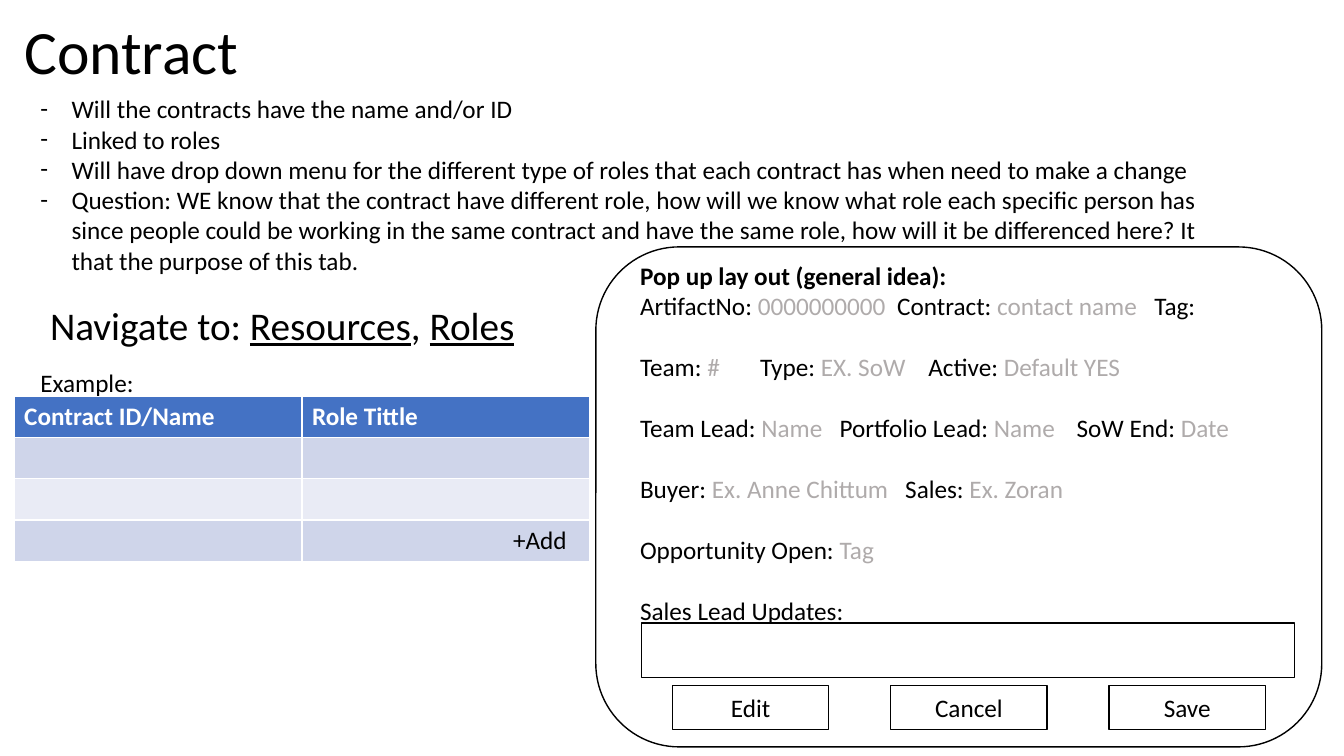
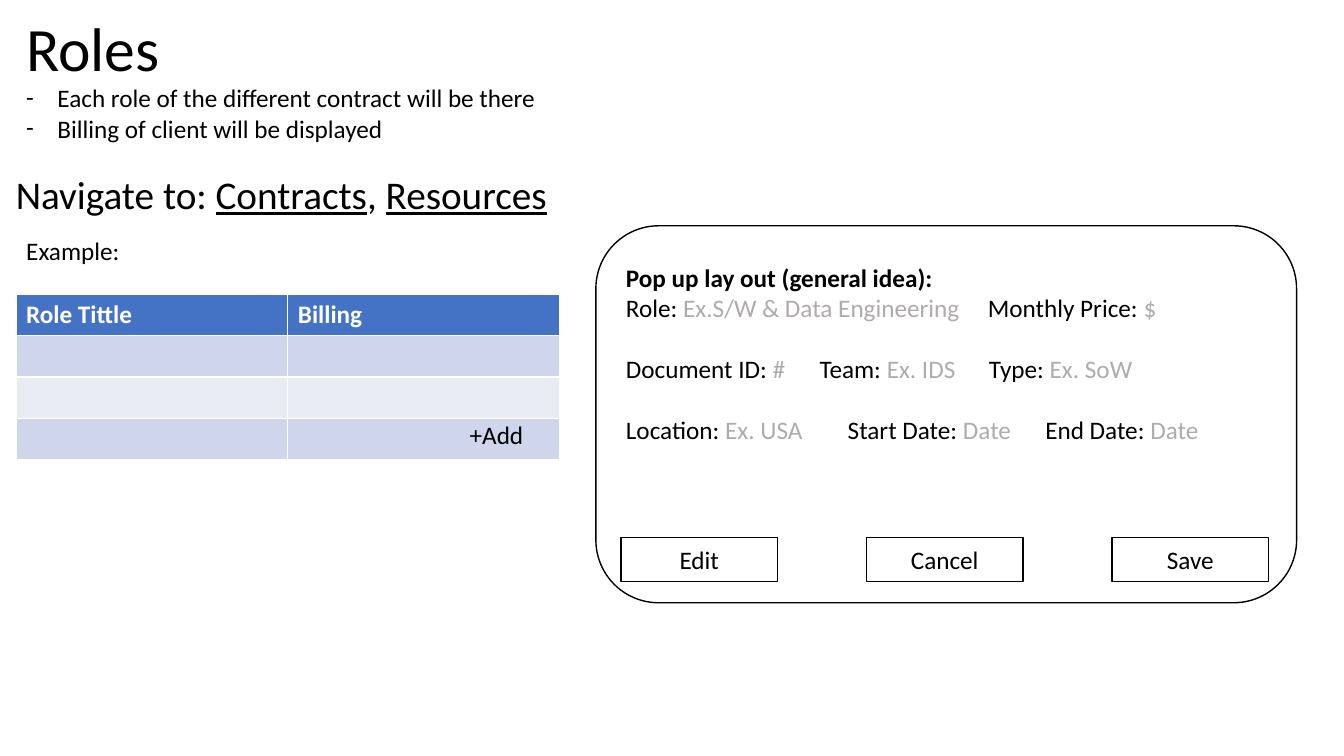
"""Build two wireframe slides, each with notes, an example table and a pop-up form."""
from lxml import etree
from pptx import Presentation
from pptx import util as u
from pptx.dml.color import RGBColor
from pptx.enum import shapes, text
from pptx.oxml.ns import qn

FONT, BLACK, WHITE, GREY = "Calibri", "000000", "FFFFFF", "AFABAB"
HEADER, BANDS = "4472C4", ("CFD5EA", "E9EBF5")
BODY_SIZE, LINE = 18, 22
ROW_HEIGHT, BUTTON_SIZE = 0.41, (1.55, 0.44)
BUTTONS = ("Edit", "Cancel", "Save")
POPUP_HEADING = "Pop up lay out (general idea):"

PAGES = [
    {
        "title": ("Contract", (0.14, -0.18, 11.5, 1.45)),
        "notes": ([
            "Will the contracts have the name and/or ID",
            "Linked to roles",
            "Will have drop down menu for the different type of roles that each contract has when need to make a change",
            "Question: WE know that the contract have different role, how will we know what role each specific person has "
            "since people could be working in the same contract and have the same role, how will it be differenced here? It "
            "that the purpose of this tab.",
        ], (0.3, 0.88, 11.89, 3.43)),
        "links": (("Resources", "Roles"), (-0.33, 2.94, 6.26, 0.57)),
        "table": (("Contract ID/Name", "Role Tittle"), (0.14, 3.93, 5.71)),
        "add": (4.99, 5.15, 1, 0.4),
        "popup": (5.91, 2.45, 7.2, 4.96),
        "form": ([
            [(0, "ArtifactNo: ", "0000000000"), (2.55, "Contract: ", "contact name"), (5.1, "Tag:", "")],
            [(0, "Team: ", "#"), (1.19, "Type: ", "EX. SoW"), (2.86, "Active: ", "Default YES")],
            [(0, "Team Lead: ", "Name"), (1.98, "Portfolio Lead: ", "Name"), (4.33, "SoW End: ", "Date")],
            [(0, "Buyer: ", "Ex. Anne Chittum"), (2.63, "Sales: ", "Ex. Zoran")],
            [(0, "Opportunity Open: ", "Tag")],
            [(0, "Sales Lead Updates:", "")],
        ], (6.25, 2.53, 7.43, 3.74)),
        "entry": (6.36, 6.18, 6.48, 0.54),
        "buttons": (6.67, 11, 6.8),
    },
    {
        "title": ("Roles", (0.16, -0.21, 11.5, 1.45)),
        "notes": ([
            "Each role of the different contract will be there",
            "Billing of client will be displayed",
        ], (0.16, 0.77, 11.89, 2.22)),
        "links": (("Contracts", "Resources"), (-0.34, 1.64, 6.26, 0.57)),
        "table": (("Role Tittle", "Billing"), (0.16, 2.92, 5.39)),
        "add": (4.56, 4.11, 1, 0.4),
        "popup": (5.91, 2.24, 6.95, 3.74),
        "form": ([
            [(0, "Role: ", "Ex.S/W & Data Engineering"), (3.59, "Monthly Price: ", "$")],
            [(0, "Document ID: ", "#"), (1.92, "Team: ", "Ex. IDS"), (3.6, "Type: ", "Ex. SoW")],
            [(0, "Location: ", "Ex. USA"), (2.2, "Start Date: ", "Date"), (4.16, "End Date: ", "Date")],
        ], (6.11, 2.55, 7.43, 2.22)),
        "entry": None,
        "buttons": (6.16, 11.03, 5.33),
    },
]


def rgb(value):
    return RGBColor.from_string(value)


def inches(values):
    return [u.Inches(value) for value in values]


def write(paragraph, words, color=BLACK, **formats):
    run = paragraph.add_run()
    run.text = words
    run.font.color.rgb = rgb(color)
    for name, value in {"name": FONT, "size": u.Pt(BODY_SIZE), **formats}.items():
        setattr(run.font, name, value)


def space(paragraph, before=0, align=text.PP_ALIGN.LEFT, line=1.0):
    formats = {"space_before": u.Pt(before), "space_after": u.Pt(0), "alignment": align, "line_spacing": line}
    for name, value in formats.items():
        setattr(paragraph, name, value)


def next_paragraph(frame, index):
    return frame.add_paragraph() if index else frame.paragraphs[0]


def move(placeholder, place):
    for name, value in zip(("left", "top", "width", "height"), inches(place)):
        setattr(placeholder, name, value)
    placeholder.text_frame.auto_size = text.MSO_AUTO_SIZE.NONE
    return placeholder.text_frame


def add_text(slide, place):
    frame = slide.shapes.add_textbox(*inches(place)).text_frame
    frame.word_wrap = True
    return frame


def add_outline(slide, place, label="", preset=shapes.MSO_SHAPE.RECTANGLE):
    outline = slide.shapes.add_shape(preset, *inches(place))
    outline.shadow.inherit = False
    outline.fill.solid()
    outline.fill.fore_color.rgb = rgb(WHITE)
    outline.line.color.rgb = rgb(BLACK)
    outline.line.width = u.Pt(1)
    if label:
        paragraph = outline.text_frame.paragraphs[0]
        space(paragraph, align=text.PP_ALIGN.CENTER)
        write(paragraph, label)


def set_bullet(paragraph, mark=None):
    properties = paragraph._p.get_or_add_pPr()
    hanging = u.Inches(0.31) if mark else 0
    properties.set("marL", str(hanging))
    properties.set("indent", str(-hanging))
    if mark:
        etree.SubElement(properties, qn("a:buFont"), typeface=FONT)
        etree.SubElement(properties, qn("a:buChar"), char=mark)
    else:
        etree.SubElement(properties, qn("a:buNone"))


def set_tabs(paragraph, stops):
    tabs = etree.SubElement(paragraph._p.get_or_add_pPr(), qn("a:tabLst"))
    for stop in stops:
        etree.SubElement(tabs, qn("a:tab"), pos=str(u.Inches(stop)), algn="l")


def add_title(slide, words, place):
    frame = move(slide.shapes.title, place)
    frame.vertical_anchor = text.MSO_ANCHOR.MIDDLE
    space(frame.paragraphs[0], line=0.9)
    write(frame.paragraphs[0], words, size=u.Pt(44))


def add_notes(slide, notes, place):
    frame = move(slide.placeholders[1], place)
    for index, note in enumerate(notes):
        paragraph = next_paragraph(frame, index)
        space(paragraph)
        set_bullet(paragraph, "-")
        write(paragraph, note)
    example = frame.add_paragraph()
    space(example, before=3 * LINE)
    set_bullet(example)
    write(example, "Example:")


def add_links(slide, targets, place):
    paragraph = add_text(slide, place).paragraphs[0]
    space(paragraph, align=text.PP_ALIGN.CENTER)
    for lead, target in zip(("Navigate to: ", ", "), targets):
        write(paragraph, lead, size=u.Pt(28))
        write(paragraph, target, size=u.Pt(28), underline=True)


def add_example(slide, headings, place):
    left, top, width = place
    rows = 4
    area = inches((left, top, width, rows * ROW_HEIGHT))
    table = slide.shapes.add_table(rows, len(headings), *area).table
    for column, heading in enumerate(headings):
        table.columns[column].width = u.Inches(width / len(headings))
        write(table.cell(0, column).text_frame.paragraphs[0], heading, WHITE, bold=True)
        for row in range(rows):
            cell = table.cell(row, column)
            cell.fill.solid()
            cell.fill.fore_color.rgb = rgb(BANDS[(row - 1) % 2] if row else HEADER)


def add_form(slide, lines, place):
    frame = add_text(slide, place)
    write(frame.paragraphs[0], POPUP_HEADING, bold=True)
    for index, fields in enumerate(lines):
        paragraph = frame.add_paragraph()
        space(paragraph, before=LINE if index else 0)
        set_tabs(paragraph, [stop for stop, _, _ in fields if stop])
        for stop, label, hint in fields:
            write(paragraph, "\t" + label if stop else label)
            if hint:
                write(paragraph, hint, GREY)


def add_buttons(slide, first, last, top):
    step = (last - first) / (len(BUTTONS) - 1)
    for index, label in enumerate(BUTTONS):
        add_outline(slide, (first + index * step, top, *BUTTON_SIZE), label)


def main():
    deck = Presentation()
    deck.slide_width, deck.slide_height = inches((13.33, 7.5))
    for page in PAGES:
        slide = deck.slides.add_slide(deck.slide_layouts[1])
        add_title(slide, *page["title"])
        add_notes(slide, *page["notes"])
        add_links(slide, *page["links"])
        add_example(slide, *page["table"])
        write(add_text(slide, page["add"]).paragraphs[0], "+Add")
        add_outline(slide, page["popup"], preset=shapes.MSO_SHAPE.ROUNDED_RECTANGLE)
        add_form(slide, *page["form"])
        if page["entry"]:
            add_outline(slide, page["entry"])
        add_buttons(slide, *page["buttons"])
    deck.save("out.pptx")


if __name__ == "__main__":
    main()
